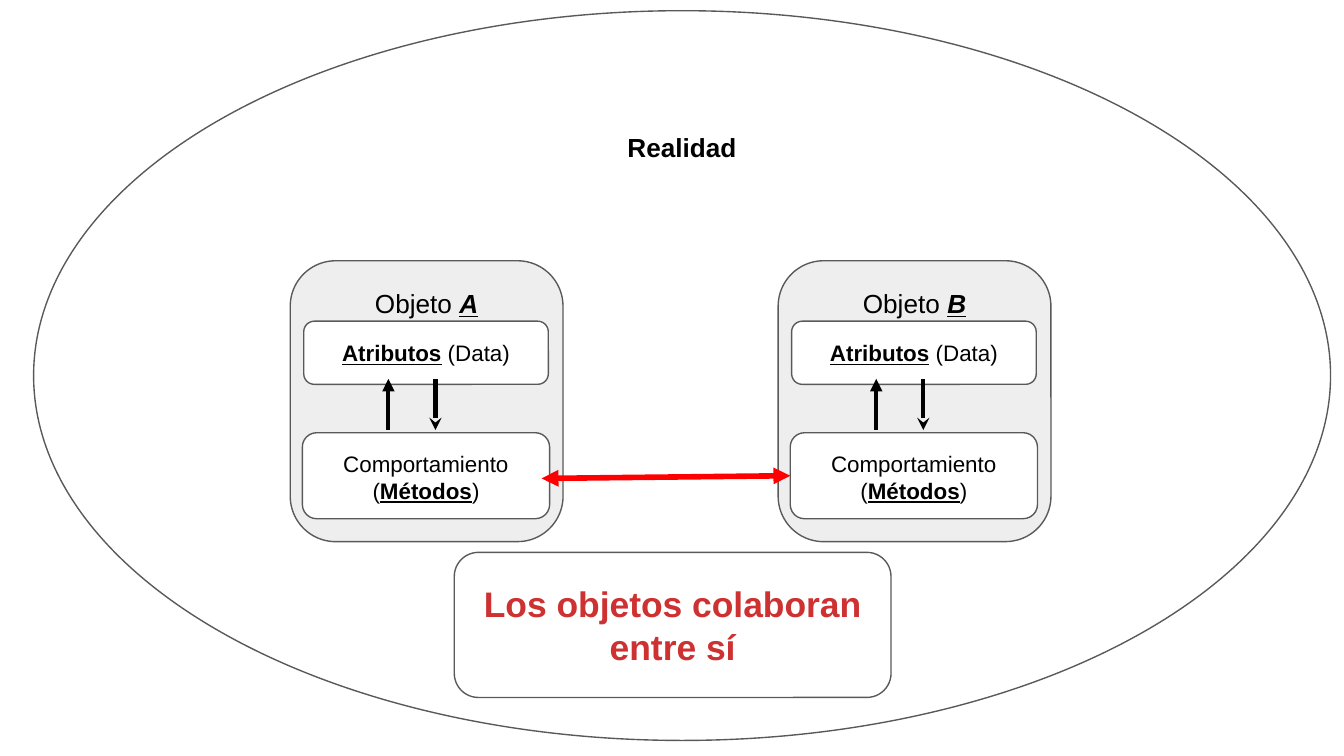
"""Build a slide on two objects that collaborate within reality."""
import pptx
import pptx.dml.color
import pptx.enum.shapes
import pptx.enum.text
import pptx.oxml.ns
import pptx.util
from lxml import etree
from pptx.util import Inches

RGBColor = pptx.dml.color.RGBColor
WHITE = RGBColor(0xFF, 0xFF, 0xFF)
BLACK = RGBColor(0x00, 0x00, 0x00)
LIGHT_GRAY = RGBColor(0xEE, 0xEE, 0xEE)
OUTLINE_GRAY = RGBColor(0x59, 0x59, 0x59)
ARROW_RED = RGBColor(0xFF, 0x00, 0x00)
MESSAGE_RED = RGBColor(0xCD, 0x31, 0x31)

OVAL = pptx.enum.shapes.MSO_SHAPE.OVAL
ROUNDED = pptx.enum.shapes.MSO_SHAPE.ROUNDED_RECTANGLE
TOP = pptx.enum.text.MSO_ANCHOR.TOP
MIDDLE = pptx.enum.text.MSO_ANCHOR.MIDDLE

presentation = pptx.Presentation()
presentation.slide_width = Inches(10)
presentation.slide_height = Inches(10 * 9 / 16)
slide = presentation.slides.add_slide(presentation.slide_layouts[6])


def add_box(kind, left, top, width, height, runs, size, fill=WHITE, anchor=TOP, color=BLACK):
    box = slide.shapes.add_shape(kind, Inches(left), Inches(top), Inches(width), Inches(height))
    box.shadow.inherit = False
    box.fill.solid()
    box.fill.fore_color.rgb = fill
    box.line.color.rgb = OUTLINE_GRAY
    box.line.width = pptx.util.Pt(0.75)
    frame = box.text_frame
    frame.word_wrap = True
    frame.vertical_anchor = anchor
    frame.margin_left = frame.margin_right = Inches(0.1)
    frame.margin_top = frame.margin_bottom = Inches(0.1)
    paragraph = frame.paragraphs[0]
    paragraph.alignment = pptx.enum.text.PP_ALIGN.CENTER
    for text, style in runs:
        run = paragraph.add_run()
        run.text = text
        run.font.name = "Arial"
        run.font.size = pptx.util.Pt(size)
        run.font.color.rgb = color
        run.font.bold = "b" in style
        run.font.italic = "i" in style
        run.font.underline = "u" in style
    return box


def add_arrow(x1, y1, x2, y2, color, width, **ends):
    arrow = slide.shapes.add_connector(
        pptx.enum.shapes.MSO_CONNECTOR.STRAIGHT, Inches(x1), Inches(y1), Inches(x2), Inches(y2)
    )
    arrow.line.color.rgb = color
    arrow.line.width = pptx.util.Pt(width)
    outline = arrow.line._get_or_add_ln()
    for end, head in ends.items():
        etree.SubElement(outline, pptx.oxml.ns.qn(f"a:{end}"), type=head)
    etree.SubElement(arrow._element.spPr, pptx.oxml.ns.qn("a:effectLst"))
    return arrow


add_box(OVAL, 0.25, 0.08, 9.65, 5.43, [("Realidad", "b")], 14)

for letter, left in (("A", 2.16), ("B", 5.79)):
    add_box(ROUNDED, left, 1.94, 2.03, 2.09, [("Objeto ", ""), (letter, "biu")], 14, LIGHT_GRAY)
    add_box(ROUNDED, left + 0.1, 2.39, 1.82, 0.47,
            [("Atributos", "bu"), (" (Data)", "")], 12, anchor=MIDDLE)
    methods = add_box(ROUNDED, left + 0.09, 3.22, 1.84, 0.64,
                      [("Comportamiento (", ""), ("Métodos", "bu"), (")", "")], 12)
    add_arrow(left + 0.73, 3.2, left + 0.73, 2.82, BLACK, 2.25, tailEnd="triangle")
    add_arrow(left + 1.08, 3.2, left + 1.08, 2.82, BLACK, 2.25, headEnd="stealth")

collaboration = add_arrow(4.03, 3.56, 5.88, 3.54, ARROW_RED, 3,
                          headEnd="triangle", tailEnd="triangle")
collaboration.end_connect(methods, 1)

add_box(ROUNDED, 3.38, 4.11, 3.25, 1.08, [("Los objetos colaboran entre sí", "b")], 19,
        anchor=MIDDLE, color=MESSAGE_RED)

presentation.save("out.pptx")
